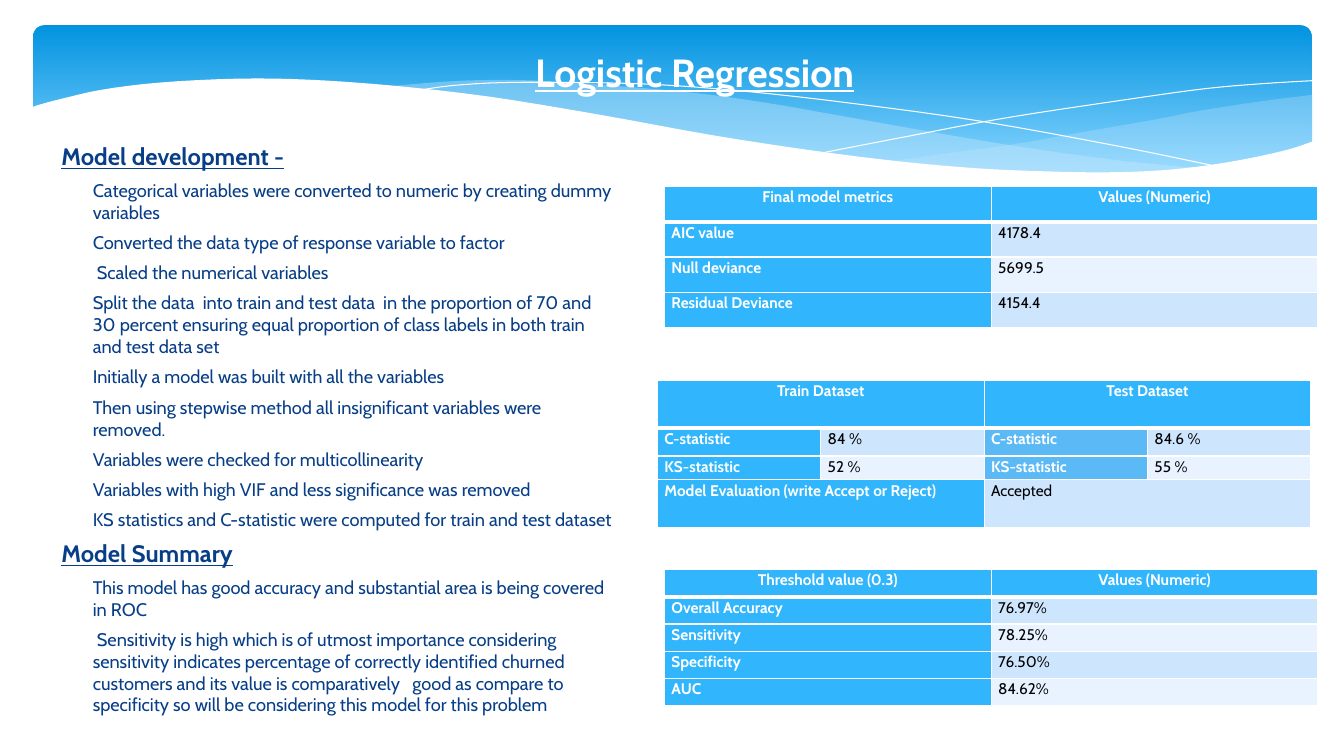
import pptx
import pptx.util
import pptx.dml.color
import pptx.enum.shapes
import pptx.enum.text
import pptx.oxml.ns
from lxml import etree

Pt = pptx.util.Pt
qn = pptx.oxml.ns.qn
CENTER = pptx.enum.text.PP_ALIGN.CENTER
FONT = "Cabin"
COLORS = {
    "white": "FFFFFF", "black": "000000", "navy": "073E87",
    "deep": "0293E0", "pale": "83D3FE", "mist": "C6E7FC",
    "blue": "31B6FD", "soft": "5BBAF6", "odd": "CEE5FE", "even": "E8F3FF",
}

RIGHT_TOP = [(938.2, 67.7), (898.6, 72.7), (856.8, 79.2), (827.3, 85), (774, 94.3),
             (724.3, 103), (678.2, 109.4), (635.8, 115.2)]
RIGHT_BASE = [(635.8, 115.2), (677.5, 119.5), (715.7, 121.7), (761.8, 123.8),
              (802.1, 123.8), (838.1, 121.7), (870.5, 117.4), (899.3, 112.3),
              (938.2, 101.5)]
MID_TOP = [(858.2, 120.2), (805, 115.2), (745.2, 107.3), (678.2, 96.5), (604.8, 83.5),
           (547.2, 73.4), (494.6, 66.2), (446.4, 61.9), (383.8, 57.6), (330.5, 57.6),
           (275, 61.9)]
MID_BASE = [(275, 61.9), (329, 67.7), (388.8, 76.3), (432, 83.5), (509, 97.2),
            (578.2, 108), (639.4, 115.9), (694.1, 121), (743, 123.8), (786.2, 124.6),
            (824.4, 123.1), (858.2, 120.2)]
FALL = [(297.4, 64.8), (322.6, 61.2), (360, 59), (415.4, 59), (470.2, 60.5),
        (535, 65.5), (611.3, 74.2), (699.1, 86.4), (798.5, 104.4), (871.9, 119.5)]
RISE = [(589.7, 108.7), (645.8, 97.9), (718.6, 84.2), (803.5, 71.3), (860.4, 63.4),
        (901.4, 59.8), (938.2, 57.6)]
FRONT = [(22.3, 77), (27.4, 75), (43.9, 70.6), (72.7, 64.1), (113.8, 59),
         (169.2, 56.2), (220.3, 56.9), (280.8, 61.2), (349.9, 69.1), (429.1, 82.1),
         (508.3, 96.5), (578.9, 107.3), (641.5, 115.2), (697.7, 120.2), (746.6, 122.4),
         (789.8, 123.1), (828.7, 121.7), (862.6, 118.1), (892.8, 113), (920.9, 106.6),
         (938.2, 100.8)]
FLOOR = [(938.2, 161.3), (22.3, 161.3)]

NOTES = [
    ("Model development -", [
        "Categorical variables were converted to numeric by creating dummy variables",
        "Converted the data type of response variable to factor",
        " Scaled the numerical variables",
        "Split the data  into train and test data  in the proportion of 70 and 30 percent "
        "ensuring equal proportion of class labels in both train and test data set",
        "Initially a model was built with all the variables",
        "Then using stepwise method all insignificant variables were removed.",
        "Variables were checked for multicollinearity",
        "Variables with high VIF and less significance was removed",
        "KS statistics and C-statistic were computed for train and test dataset",
    ]),
    ("Model Summary", [
        "This model has good accuracy and substantial area is being covered in ROC",
        " Sensitivity is high which is of utmost importance considering sensitivity "
        "indicates percentage of correctly identified churned customers and its value is "
        "comparatively   good as compare to specificity so will be considering this model "
        "for this problem",
    ]),
]

TRAIN = [
    ("H-H-", ["Train Dataset", "", "Test Dataset", ""]),
    ("LVSV", ["C-statistic", "84 %", "C-statistic", "84.6 %"]),
    ("LVSV", ["KS-statistic", "52 %", "KS-statistic", "55 %"]),
    ("L-V-", ["Model Evaluation (write Accept or Reject)", "", "Accepted", ""]),
]
CUTOFF = [
    ("HH", ["Threshold value (0.3)", "Values (Numeric)"]),
    ("LV", ["Overall Accuracy", "76.97%"]),
    ("LV", ["Sensitivity", "78.25%"]),
    ("LV", ["Specificity", "76.50%"]),
    ("LV", ["AUC", "84.62%"]),
]
METRICS = [
    ("HH", ["Final model metrics", "Values (Numeric)"]),
    ("LV", ["AIC value", "4178.4"]),
    ("LV", ["Null deviance", "5699.5"]),
    ("LV", ["Residual Deviance", "4154.4"]),
]


def rgb(name):
    return pptx.dml.color.RGBColor.from_string(COLORS[name])


def style(para, size, color, bold, under=False):
    for run in para.runs:
        font = run.font
        font.name, font.size, font.bold, font.underline = FONT, Pt(size), bold, under
        font.color.rgb = rgb(color)


def smooth(knots, steps=4):
    ends = [knots[0], *knots, knots[-1]]
    points = [knots[0]]
    for a, b, c, d in zip(ends, ends[1:], ends[2:], ends[3:]):
        for step in range(1, steps + 1):
            t = step / steps
            points.append(tuple(
                (2 * q + (r - p) * t + (2 * p - 5 * q + 4 * r - s) * t ** 2
                 + (3 * q - p - 3 * r + s) * t ** 3) / 2
                for p, q, r, s in zip(a, b, c, d)))
    return points


def wave(slide, points, color, alpha=None, closed=True):
    points = [(Pt(x), Pt(y)) for x, y in points]
    pen = slide.shapes.build_freeform(*points[0], scale=1.0)
    pen.add_line_segments(points[1:], close=closed)
    shape = pen.convert_to_shape()
    shape.shadow.inherit = False
    if not closed:
        shape.fill.background()
        shape.line.color.rgb = rgb(color)
        shape.line.width = Pt(0)
        return
    shape.line.fill.background()
    shape.fill.solid()
    shape.fill.fore_color.rgb = rgb(color)
    if alpha:
        tint = shape._element.spPr.find(qn("a:solidFill"))[0]
        etree.SubElement(tint, qn("a:alpha"), val=str(alpha * 1000))


def band(slide):
    shape = slide.shapes.add_shape(pptx.enum.shapes.MSO_SHAPE.ROUNDED_RECTANGLE,
                                   Pt(23.8), Pt(18), Pt(913), Pt(112.3))
    shape.adjustments[0] = 0.07
    shape.shadow.inherit = False
    shape.line.fill.background()
    shape.fill.gradient()
    shape.fill.gradient_angle = 270
    for stop, color, place in zip(shape.fill.gradient_stops, ("deep", "pale"), (0, 0.9)):
        stop.color.rgb = rgb(color)
        stop.position = place


def textbox(slide, *place):
    frame = slide.shapes.add_textbox(*map(Pt, place)).text_frame
    frame.word_wrap = True
    return frame


def title(slide):
    frame = textbox(slide, 301.7, 15.1, 388.8, 56.2)
    frame.vertical_anchor = pptx.enum.text.MSO_ANCHOR.BOTTOM
    frame.text = "Logistic Regression"
    frame.paragraphs[0].alignment = CENTER
    style(frame.paragraphs[0], 28, "white", True, True)


def notes(slide):
    frame = textbox(slide, 36.7, 97.9, 411.1, 419.8)
    para = frame.paragraphs[0]
    for head, items in NOTES:
        for text in [head, *items]:
            if para.text:
                para = frame.add_paragraph()
            para.text = text
            para.space_after = Pt(6)
            top = text == head
            style(para, 17 if top else 13, "navy", top, top)
            if not top:
                para._p.get_or_add_pPr().set("marL", str(Pt(22.5)))


def edge(cell, side, width):
    line = etree.SubElement(cell._tc.get_or_add_tcPr(), qn("a:" + side), w=str(Pt(width)))
    fill = etree.SubElement(line, qn("a:solidFill"))
    etree.SubElement(fill, qn("a:srgbClr"), val=COLORS["white"])


def fill_cell(cell, role, text, row):
    for side in ("lnL", "lnR", "lnT", "lnB"):
        thick = (row, side) in ((0, "lnB"), (1, "lnT"))
        edge(cell, side, 3 if thick else 1)
    shade = {"V": "odd" if row % 2 else "even", "S": "soft"}.get(role, "blue")
    cell.fill.solid()
    cell.fill.fore_color.rgb = rgb(shade)
    cell.margin_left = cell.margin_right = Pt(5)
    cell.margin_top = cell.margin_bottom = 0
    cell.text = text
    para = cell.text_frame.paragraphs[0]
    para.line_spacing = 1.07
    if role == "H":
        para.alignment = CENTER
    style(para, 11, "black" if role == "V" else "white", role != "V")


def table(slide, left, top, tall, data):
    count = len(data[0][0])
    grid = slide.shapes.add_table(len(data), count, Pt(left), Pt(top),
                                  Pt(466.8), Pt(sum(tall))).table
    grid.first_row = grid.horz_banding = False
    for col in grid.columns:
        col.width = Pt(466.8 / count)
    for row, (roles, texts) in enumerate(data):
        grid.rows[row].height = Pt(tall[row])
        for col, (role, text) in enumerate(zip(roles, texts)):
            fill_cell(grid.cell(row, col), role, text, row)
            if role == "-":
                grid.cell(row, col - 1).merge(grid.cell(row, col))


def main():
    deck = pptx.Presentation()
    deck.slide_width, deck.slide_height = Pt(960), Pt(540)
    slide = deck.slides.add_slide(deck.slide_layouts[6])
    band(slide)
    wave(slide, smooth(RIGHT_TOP) + smooth(RIGHT_BASE), "mist", 29)
    wave(slide, smooth(MID_TOP) + smooth(MID_BASE), "mist", 40)
    for curve in (FALL, RISE):
        wave(slide, smooth(curve), "white", closed=False)
    wave(slide, smooth(FRONT) + FLOOR, "white")
    notes(slide)
    title(slide)
    table(slide, 469.6, 271.6, [34.2, 20, 17, 34.2], TRAIN)
    table(slide, 474.6, 406.8, [19.5] * 5, CUTOFF)
    table(slide, 474.6, 133.2, [25.2] * 4, METRICS)
    deck.save("out.pptx")


if __name__ == "__main__":
    main()
